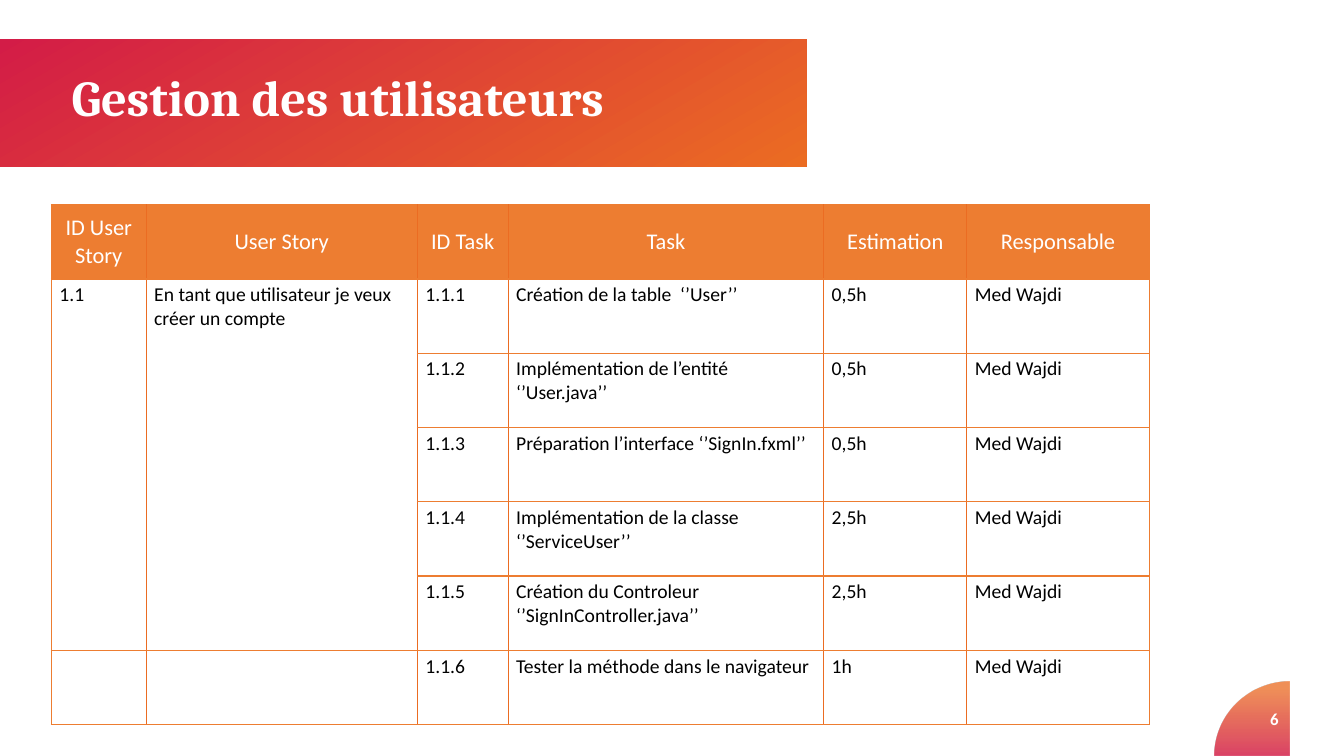
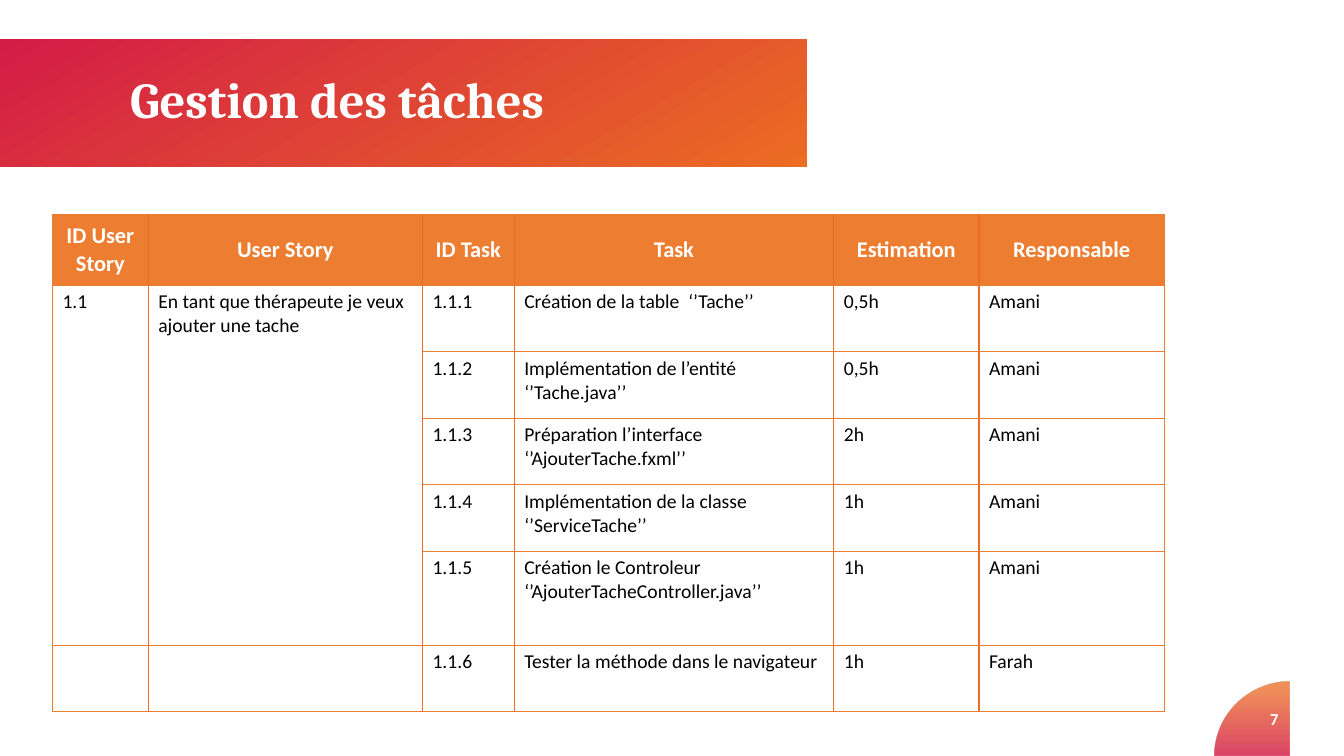
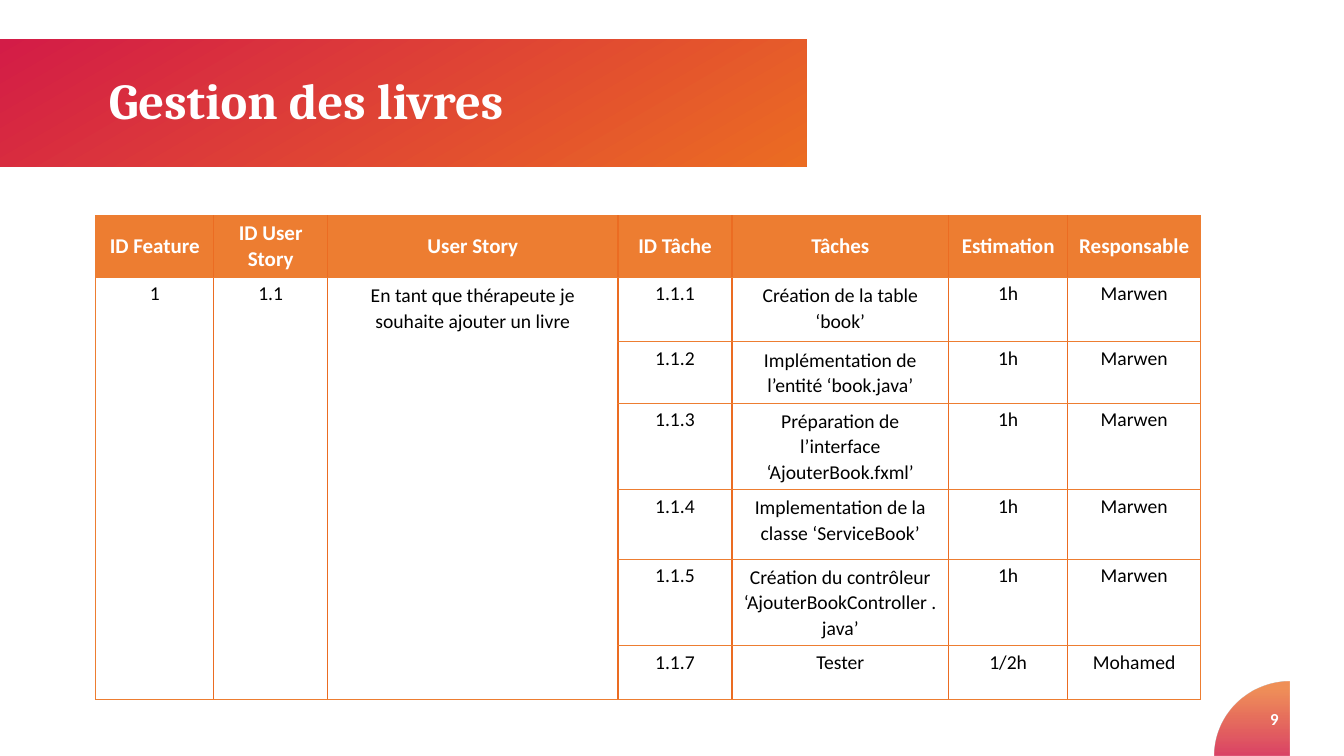
from math import cos, pi, sin
from lxml.etree import SubElement
from pptx import Presentation
from pptx.dml.color import RGBColor
from pptx.enum.shapes import MSO_SHAPE
from pptx.enum.text import MSO_ANCHOR, MSO_AUTO_SIZE, PP_ALIGN
from pptx.oxml.ns import qn
from pptx.util import Inches, Pt

RED, ORANGE, AMBER = "D31C47", "EB6C22", "ED7D31"
WHITE, BLACK = "FFFFFF", "000000"
LEFT, MID, RIGHT = PP_ALIGN.LEFT, PP_ALIGN.CENTER, PP_ALIGN.RIGHT


def hue(code):
    return RGBColor.from_string(code)


def write(frame, text, size=14, font="Calibri", color=BLACK, bold=False, align=LEFT, space=None):
    par = frame.paragraphs[0]
    par.alignment = align
    if space:
        par.line_spacing = space
    run = par.add_run()
    run.text = text
    run.font.size = Pt(size)
    run.font.name = font
    run.font.bold = bold
    run.font.color.rgb = hue(color)


HEAD = ["ID User Story", "User Story", "ID Task", "Task", "Estimation", "Responsable"]

pages = [
    dict(
        number="6", title="Gestion des utilisateurs", spot=(0.71, 0.72),
        place=(0.51, 2.03), widths=[0.94, 2.69, 0.9, 3.13, 1.42, 1.81], heights=[5.16 / 7] * 7,
        head=HEAD, size=16, bold=False, pad=(0.08, 0.04), edge=1, align=LEFT, loose=[], span=5,
        story=["1.1", "En tant que utilisateur je veux créer un compte"],
        tasks=[
            ["1.1.1", "Création de la table  ‘’User’’", "0,5h", "Med Wajdi"],
            ["1.1.2", "Implémentation de l’entité ‘’User.java’’", "0,5h", "Med Wajdi"],
            ["1.1.3", "Préparation l’interface ‘’SignIn.fxml’’", "0,5h", "Med Wajdi"],
            ["1.1.4", "Implémentation de la classe ‘’ServiceUser’’", "2,5h", "Med Wajdi"],
            ["1.1.5", "Création du Controleur ‘’SignInController.java’’", "2,5h", "Med Wajdi"],
            ["1.1.6", "Tester la méthode dans le navigateur", "1h", "Med Wajdi"],
        ],
    ),
    dict(
        number="7", title="Gestion des tâches", spot=(1.29, 0.74),
        place=(0.52, 2.13), widths=[0.95, 2.72, 0.91, 3.17, 1.44, 1.84],
        heights=[0.7, 0.66, 0.66, 0.66, 0.66, 0.93, 0.66],
        head=HEAD, size=16, bold=True, pad=(0.1, 0.05), edge=0.5, align=LEFT, loose=[], span=5,
        story=["1.1", "En tant que thérapeute je veux ajouter une tache"],
        tasks=[
            ["1.1.1", "Création de la table  ‘’Tache’’", "0,5h", "Amani"],
            ["1.1.2", "Implémentation de l’entité ‘’Tache.java’’", "0,5h", "Amani"],
            ["1.1.3", "Préparation l’interface ‘’AjouterTache.fxml’’", "2h", "Amani"],
            ["1.1.4", "Implémentation de la classe ‘’ServiceTache’’", "1h", "Amani"],
            ["1.1.5", "Création le Controleur ‘’AjouterTacheController.java’’", "1h", "Amani"],
            ["1.1.6", "Tester la méthode dans le navigateur", "1h", "Farah"],
        ],
    ),
    dict(
        number="9", title="Gestion des livres", spot=(1.08, 0.75),
        place=(0.95, 2.14), widths=[1.17, 1.13, 2.88, 1.13, 2.15, 1.18, 1.32],
        heights=[0.59, 0.64, 0.6, 0.83, 0.69, 0.83, 0.53],
        head=["ID Feature", "ID User Story", "User Story", "ID Tâche", "Tâches", "Estimation", "Responsable"],
        size=15, bold=True, pad=(0.1, 0.05), edge=0.5, align=MID, loose=[2, 4], span=6,
        story=["1", "1.1", "En tant que thérapeute je souhaite ajouter un livre"],
        tasks=[
            ["1.1.1", "Création de la table ‘book’", "1h", "Marwen"],
            ["1.1.2", "Implémentation de l’entité ‘book.java’", "1h", "Marwen"],
            ["1.1.3", "Préparation de l’interface ‘AjouterBook.fxml’", "1h", "Marwen"],
            ["1.1.4", "Implementation de la classe ‘ServiceBook’", "1h", "Marwen"],
            ["1.1.5", "Création du contrôleur ‘AjouterBookController .java’", "1h", "Marwen"],
            ["1.1.7", "Tester", "1/2h", "Mohamed"],
        ],
    ),
]

deck = Presentation()
deck.slide_width, deck.slide_height = Inches(13.33), Inches(7.5)
layout = deck.slide_layouts[5]

side = 0.74
right, base = 12.79, 7.5
steps = 40
curve = [(right - side * cos(pi / 2 * i / steps), base - side * sin(pi / 2 * i / steps)) for i in range(steps + 1)]

for page in pages:
    slide = deck.slides.add_slide(layout)
    shapes = slide.shapes

    pen = shapes.build_freeform(Inches(right), Inches(base))
    pen.add_line_segments([(Inches(x), Inches(y)) for x, y in curve], close=True)
    corner = pen.convert_to_shape()
    band = shapes.add_shape(MSO_SHAPE.RECTANGLE, 0, Inches(0.39), Inches(8), Inches(1.26))
    for shape, angle, end in [(corner, 90, 0.91), (band, 300, 1)]:
        shape.shadow.inherit = False
        shape.line.fill.background()
        shape.fill.gradient()
        shape.fill.gradient_angle = angle
        first, last = shape.fill.gradient_stops
        first.color.rgb, last.color.rgb = hue(RED), hue(ORANGE)
        first.position, last.position = 0, end
    for node, alpha in zip(corner.element.iter(qn("a:srgbClr")), (83, 75)):
        SubElement(node, qn("a:alpha"), val=str(alpha * 1000))

    label = shapes.add_textbox(Inches(12.27), Inches(6.93), Inches(0.51), Inches(0.4)).text_frame
    label.word_wrap = True
    label.vertical_anchor = MSO_ANCHOR.MIDDLE
    write(label, page["number"], size=12, color=WHITE, bold=True, align=RIGHT)

    title = shapes.title
    title.element.getparent().append(title.element)
    title.left, title.top = [Inches(v) for v in page["spot"]]
    title.width, title.height = Inches(6.98), Inches(0.55)
    frame = title.text_frame
    frame.margin_left = frame.margin_right = frame.margin_top = frame.margin_bottom = 0
    frame.word_wrap = True
    frame.auto_size = MSO_AUTO_SIZE.NONE
    frame.vertical_anchor = MSO_ANCHOR.MIDDLE
    write(frame, page["title"], size=36, font="Cambria", color=WHITE, bold=True, space=0.9)

    widths, heights, story = page["widths"], page["heights"], page["story"]
    left, top = page["place"]
    table = shapes.add_table(
        len(heights), len(widths), Inches(left), Inches(top), Inches(sum(widths)), Inches(sum(heights))
    ).table
    table.first_row = table.horz_banding = False
    for column, width in zip(table.columns, widths):
        column.width = Inches(width)
    for row, height in zip(table.rows, heights):
        row.height = Inches(height)

    blank = [""] * len(story)
    grid = [page["head"]] + [(blank if i else story) + task for i, task in enumerate(page["tasks"])]
    outer, inner = (AMBER, page["edge"]), (ORANGE, 1)
    for r, line in enumerate(grid):
        for c, text in enumerate(line):
            cell = table.cell(r, c)
            cell.margin_left = cell.margin_right = Inches(page["pad"][0])
            cell.margin_top = cell.margin_bottom = Inches(page["pad"][1])
            edges = {
                "a:lnL": inner if c else outer,
                "a:lnR": inner if c < len(line) - 1 else outer,
                "a:lnT": outer,
                "a:lnB": outer,
            }
            props = cell._tc.get_or_add_tcPr()
            for tag, (color, weight) in edges.items():
                rule = SubElement(props, qn(tag), w=str(Pt(weight)))
                SubElement(SubElement(rule, qn("a:solidFill")), qn("a:srgbClr"), val=color)
            cell.fill.solid()
            cell.fill.fore_color.rgb = hue(WHITE if r else AMBER)
            if r == 0:
                cell.vertical_anchor = MSO_ANCHOR.MIDDLE
                write(cell.text_frame, text, size=page["size"], color=WHITE, bold=page["bold"], align=MID)
            elif text:
                space = 1.07 if c in page["loose"] and r < len(grid) - 1 else None
                write(cell.text_frame, text, align=page["align"], space=space)
    for c in range(len(story)):
        table.cell(1, c).merge(table.cell(page["span"], c))

deck.save("out.pptx")
